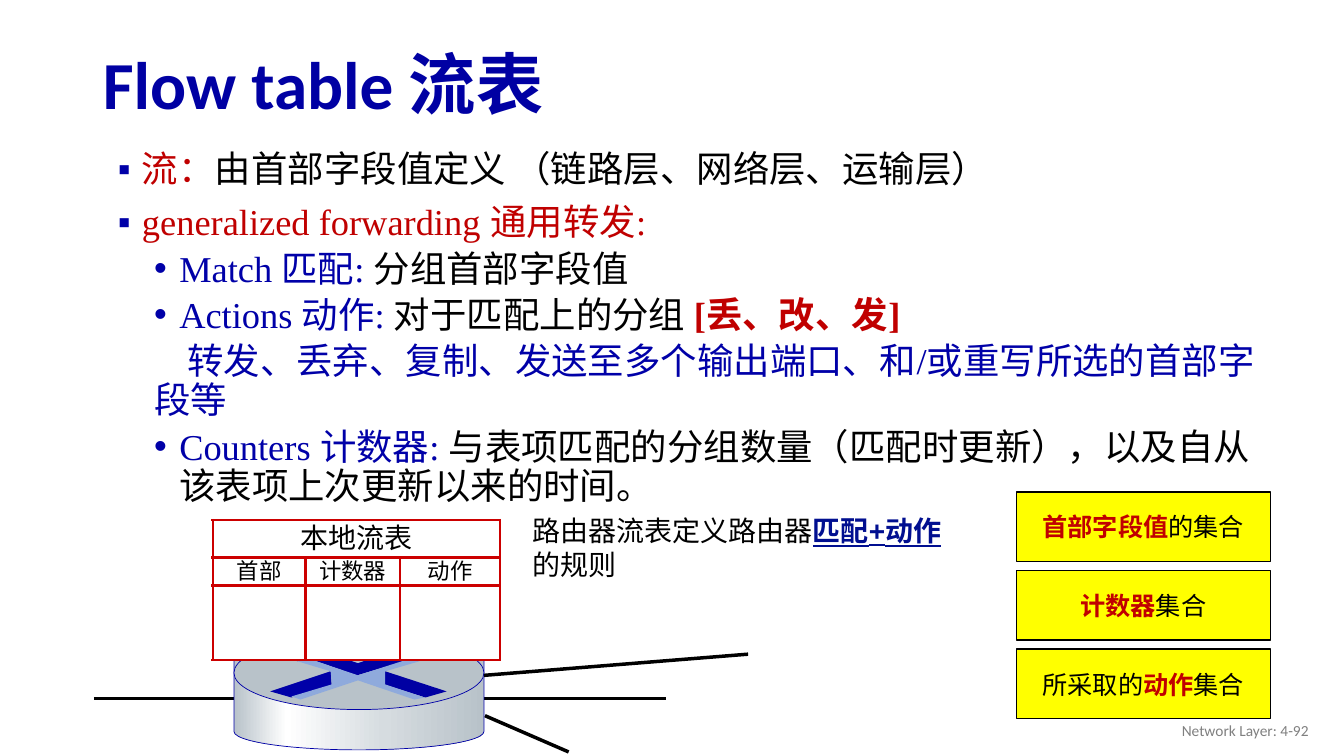
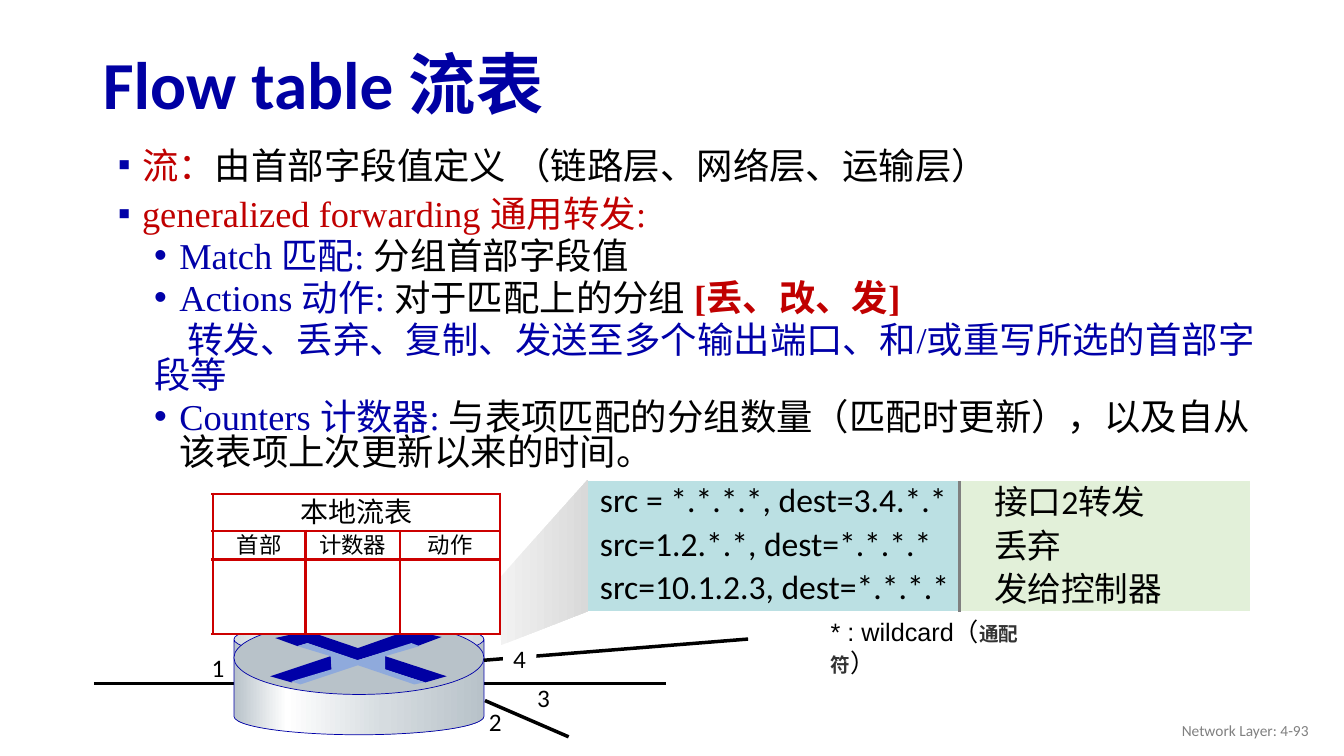
from lxml import etree
from pptx import Presentation
from pptx.dml.color import RGBColor
from pptx.enum.shapes import MSO_CONNECTOR, MSO_SHAPE
from pptx.enum.text import MSO_ANCHOR, PP_ALIGN
from pptx.oxml.ns import qn
from pptx.util import Inches, Pt

STRAIGHT = MSO_CONNECTOR.STRAIGHT
RECTANGLE, ELLIPSE, CYLINDER = MSO_SHAPE.RECTANGLE, MSO_SHAPE.OVAL, MSO_SHAPE.CAN
TOP, MIDDLE = MSO_ANCHOR.TOP, MSO_ANCHOR.MIDDLE
LEFT, CENTER, RIGHT = PP_ALIGN.LEFT, PP_ALIGN.CENTER, PP_ALIGN.RIGHT
TITLE_ONLY = 5
COLUMN = ROW = Inches(1)

NAVY, BLUE, LIGHT_BLUE, INK_BLUE = "0000A3", "0000A8", "8FAADC", "010F90"
RED, TABLE_RED, BLACK, WHITE = "C00000", "CC0000", "000000", "FFFFFF"
GREY, STEEL, YELLOW = "808080", "B8C2C9", "FFFF00"
MATCH_FILL, ACTION_FILL = "BBE0E3", "E2F0D9"
STEEL_SHEEN = [(0, STEEL), (21, WHITE), (60, "D6DCE0"), (100, STEEL)]
FAN_SHEEN = [(0, "F2F2F2"), (100, "D9D9D9")]
BOLD, UNDERLINED = {"bold": True}, {"bold": True, "underline": True}

LEVELS = {
    "topic": (0.39, -0.24, 10, "▪"),
    "detail": (0.76, -0.25, 5, "•"),
    "plain": (0.51, 0.33, 5, None),
}
DEFINITIONS = [
    ("topic", [("流：", RED), ("由首部字段值定义 （链路层、网络层、运输层）", BLACK)]),
    ("topic", [("generalized forwarding 通用转发:", RED)]),
    ("detail", [("Match 匹配: ", BLUE), ("分组首部字段值", BLACK)]),
    ("detail", [("Actions 动作: ", BLUE), ("对于匹配上的分组", BLACK),
                (" [丢、改、发]", RED, BOLD)]),
    ("plain", [("转发、丢弃、复制、发送至多个输出端口、和/或重写所选的首部字段等", BLUE)]),
    ("detail", [("Counters 计数器: ", BLUE),
                ("与表项匹配的分组数量（匹配时更新），以及自从该表项上次更新以来的时间。", BLACK)]),
]

ROUTER_LEFT, ROUTER_WIDTH, ROUTER_HEIGHT, LID_HEIGHT = 2.32, 2.48, 1.13, 0.73
LINKS = [((4.8, 0.39), (7.42, 0.18)), ((4.81, 0.79), (5.64, 1.15))]
CROSS = [
    (NAVY, [(1.74, 0.09), (2.06, 0.16), (1.82, 0.25), (1.76, 0.23), (1.22, 0.39),
            (0.73, 0.22), (0.63, 0.25), (0.41, 0.17), (0.73, 0.1), (1.23, 0.27)]),
    (NAVY, [(1.5, 0.35), (2.11, 0.55), (1.9, 0.61), (1.49, 0.48)]),
    (BLUE, [(0.96, 0.35), (0.97, 0.49), (0.57, 0.61), (0.36, 0.55)]),
    (LIGHT_BLUE, [(0.63, 0.25), (0.73, 0.22), (1.23, 0.39), (1.76, 0.22), (1.84, 0.25),
                  (1.5, 0.35), (1.5, 0.48), (1.89, 0.61), (1.79, 0.63), (1.23, 0.44),
                  (0.66, 0.63), (0.57, 0.6), (0.97, 0.48), (0.96, 0.35)]),
]


def rgb(value):
    """Turn a hex string into a colour."""
    return RGBColor.from_string(value)


def element(parent, tag, **attributes):
    """Append a DrawingML element to a parent."""
    return etree.SubElement(parent, qn(tag), attributes)


class Deck:
    """Holds the shared style and the current slide."""

    def __init__(self):
        """Start an empty wide presentation."""
        self.file = Presentation()
        self.file.slide_width, self.file.slide_height = Inches(13.33), Inches(7.5)

    def place(self, left, top, width, height):
        """Convert a grid box to lengths."""
        return (round(left * COLUMN), round(top * ROW),
                round(width * COLUMN), round(height * ROW))

    def new_slide(self, title, page):
        """Add a slide with its title and footer."""
        slide = self.file.slides.add_slide(self.file.slide_layouts[TITLE_ONLY])
        self.shapes = slide.shapes
        heading = self.shapes.title
        heading.left, heading.top, heading.width, heading.height = self.place(
            0.92, 0.38, 11.5, 0.98)
        self.set_text(heading.text_frame, [(title, NAVY)], 48, anchor=MIDDLE,
                      spacing=0.9, bold=True)
        self.text((10.08, 7.05, 3, 0.4), [(f"Network Layer: {page}", GREY)], 11,
                  anchor=MIDDLE, align=RIGHT)

    def fill_paragraph(self, paragraph, runs, size, font="Calibri", bold=False):
        """Put coloured runs into a paragraph."""
        paragraph.font.size, paragraph.font.name = Pt(size), font
        paragraph.font.bold = bold
        for words, colour, *styles in runs:
            run = paragraph.add_run()
            run.text = words
            run.font.color.rgb = rgb(colour)
            for style in styles:
                for name, value in style.items():
                    setattr(run.font, name, value)

    def set_text(self, frame, runs, size, font="Calibri", anchor=TOP, align=LEFT,
                 spacing=1.0, bold=False, wrap=True):
        """Put one paragraph into a text frame."""
        frame.word_wrap, frame.vertical_anchor = wrap, anchor
        paragraph = frame.paragraphs[0]
        paragraph.alignment, paragraph.line_spacing = align, spacing
        self.fill_paragraph(paragraph, runs, size, font, bold)

    def text(self, box, runs, size, **style):
        """Add a text box with one paragraph."""
        label = self.shapes.add_textbox(*self.place(*box))
        self.set_text(label.text_frame, runs, size, **style)
        return label

    def bullets(self, box, items, spacing):
        """Add the bulleted definitions."""
        frame = self.shapes.add_textbox(*self.place(*box)).text_frame
        frame.word_wrap = True
        for index, (level, runs) in enumerate(items):
            paragraph = frame.add_paragraph() if index else frame.paragraphs[0]
            margin, indent, before, mark = LEVELS[level]
            properties = paragraph._p.get_or_add_pPr()
            properties.set("marL", str(Inches(margin)))
            properties.set("indent", str(Inches(indent)))
            if mark:
                element(element(properties, "a:buClr"), "a:srgbClr", val=BLUE)
                element(properties, "a:buFont", typeface="Arial")
                element(properties, "a:buChar", char=mark)
            paragraph.line_spacing = spacing
            if index:
                paragraph.space_before = Pt(before)
            self.fill_paragraph(paragraph, runs, 26, "Times New Roman")

    def paint(self, shape, fill, line=None, width=1):
        """Set a flat or graded fill and an outline."""
        shape.shadow.inherit = False
        if isinstance(fill, str):
            shape.fill.solid()
            shape.fill.fore_color.rgb = rgb(fill)
        else:
            shape.fill.gradient()
            shape.fill.gradient_angle = 0
            stops = shape._element.spPr.find(qn("a:gradFill")).find(qn("a:gsLst"))
            for stop in list(stops):
                stops.remove(stop)
            for share, colour in fill:
                stop = element(stops, "a:gs", pos=str(share * 1000))
                element(stop, "a:srgbClr", val=colour)
        if line:
            shape.line.color.rgb, shape.line.width = rgb(line), Pt(width)
        else:
            shape.line.fill.background()

    def shape(self, kind, box, fill, line=None, width=1):
        """Add a painted preset shape."""
        shape = self.shapes.add_shape(kind, *self.place(*box))
        self.paint(shape, fill, line, width)
        return shape

    def polygon(self, points, fill):
        """Add a closed outline through grid points."""
        corners = [(round(x * COLUMN), round(y * ROW)) for x, y in points]
        builder = self.shapes.build_freeform(*corners[0], scale=1.0)
        builder.add_line_segments(corners[1:], close=True)
        self.paint(builder.convert_to_shape(), fill)

    def line(self, start, end, colour=BLACK, width=2.5):
        """Add a straight line."""
        connector = self.shapes.add_connector(STRAIGHT, *self.place(*start, *end))
        connector.line.color.rgb, connector.line.width = rgb(colour), Pt(width)
        element(connector._element.spPr, "a:effectLst")

    def table(self, left, top, widths, heights):
        """Add an unstyled table."""
        box = self.place(left, top, sum(widths), sum(heights))
        table = self.shapes.add_table(len(heights), len(widths), *box).table
        table.first_row = table.horz_banding = False
        for column, width in zip(table.columns, widths):
            column.width = Inches(width)
        for row, height in zip(table.rows, heights):
            row.height = Inches(height)
        return table

    def cell(self, cell, words, size, fill, border=None, margin=0, **style):
        """Fill and paint one table cell."""
        cell.margin_left, cell.margin_right = Inches(margin), 0
        cell.margin_top = cell.margin_bottom = 0
        properties = cell._tc.get_or_add_tcPr()
        for side in ("a:lnL", "a:lnR", "a:lnT", "a:lnB"):
            edge = element(properties, side, w=str(Pt(2)))
            if border:
                element(element(edge, "a:solidFill"), "a:srgbClr", val=border)
            else:
                element(edge, "a:noFill")
        cell.fill.solid()
        cell.fill.fore_color.rgb = rgb(fill)
        cell.vertical_anchor = MIDDLE
        runs = [(words, BLACK)] if words else []
        self.set_text(cell.text_frame, runs, size, anchor=MIDDLE, **style)

    def router(self, top):
        """Draw the router and its links."""
        self.line((0.93, top + 0.62), (6.61, top + 0.62))
        side = self.shape(CYLINDER, (ROUTER_LEFT, top, ROUTER_WIDTH, ROUTER_HEIGHT),
                          STEEL_SHEEN, BLUE, 0.5)
        side.adjustments[0] = LID_HEIGHT / 2 / ROUTER_HEIGHT
        self.shape(ELLIPSE, (ROUTER_LEFT, top, ROUTER_WIDTH, LID_HEIGHT), STEEL, BLUE, 0.5)
        for colour, points in CROSS:
            self.polygon([(ROUTER_LEFT + x, top + y) for x, y in points], colour)
        for (x1, y1), (x2, y2) in LINKS:
            self.line((x1, top + y1), (x2, top + y2))

    def flow_table(self, top):
        """Draw the local flow table."""
        table = self.table(2.11, top, (0.92, 0.94, 0.99), (0.37, 0.28, 0.74))
        rows = [("本地流表", "", ""), ("首部", "计数器", "动作"), ("", "", "")]
        for r, (names, size) in enumerate(zip(rows, (20, 16, 16))):
            for c, name in enumerate(names):
                self.cell(table.cell(r, c), name, size, WHITE, TABLE_RED,
                          align=CENTER, spacing=0.8)
        table.cell(0, 0).merge(table.cell(0, 2))

    def rules(self, left, top):
        """Draw the match and action rules."""
        rules = [("src = *.*.*.*, dest=3.4.*.*", "接口2转发"),
                 ("src=1.2.*.*, dest=*.*.*.*", "丢弃"),
                 ("src=10.1.2.3, dest=*.*.*.*", "发给控制器")]
        table = self.table(left, top, (3.69, 2.88), [0.43] * len(rules))
        for r, rule in enumerate(rules):
            for c, (fill, margin) in enumerate([(MATCH_FILL, 0.12), (ACTION_FILL, 0.34)]):
                self.cell(table.cell(r, c), rule[c], 24, fill, margin=margin, spacing=0.85)
        self.line((left + 3.69, top), (left + 3.69, top + 1.3), GREY, 2)


def main():
    """Build both flow table slides."""
    deck = Deck()

    deck.new_slide("Flow table 流表", "4-92")
    deck.bullets((0.92, 1.45, 11.87, 3.33), DEFINITIONS, 0.9)
    deck.router(6.31)
    deck.text((5.18, 5.05, 4.34, 0.77),
              [("路由器流表定义路由器", BLACK), ("匹配+动作", INK_BLUE, UNDERLINED),
               ("的规则", BLACK)], 20, font="Arial")
    parts = [[("首部字段值", RED, BOLD), ("的集合", BLACK)],
             [("计数器", RED, BOLD), ("集合", BLACK)],
             [("所采取的", BLACK), ("动作", RED, BOLD), ("集合", BLACK)]]
    for index, part in enumerate(parts):
        panel = deck.shape(RECTANGLE, (10.08, 4.88 + 0.78 * index, 2.52, 0.69), YELLOW, BLACK)
        deck.set_text(panel.text_frame, part, 18, anchor=MIDDLE, align=CENTER)
    deck.flow_table(5.16)

    deck.new_slide("Flow table 流表", "4-93")
    deck.bullets((0.92, 1.45, 11.91, 3.33), DEFINITIONS, 0.8)
    deck.router(6.16)
    ports = [("1", 2, 6.42), ("2", 4.75, 6.96), ("3", 5.23, 6.72), ("4", 4.99, 6.33)]
    for port, left, top in ports:
        label = deck.text((left, top, 0.33, 0.4), [(port, BLACK)], 18, wrap=False)
    label.fill.solid()
    label.fill.fore_color.rgb = rgb(WHITE)
    deck.text((8.14, 6.07, 2.21, 0.7),
              [("* : wildcard（", BLACK), ("通配符", "333333", BOLD, {"size": Pt(14)}),
               ("）", BLACK)], 18, font="Arial")
    deck.polygon([(4.97, 6.4), (5.84, 6.06), (5.83, 4.76), (4.96, 5.73)], FAN_SHEEN)
    deck.rules(5.83, 4.77)
    deck.flow_table(4.9)

    deck.file.save("out.pptx")


if __name__ == "__main__":
    main()
